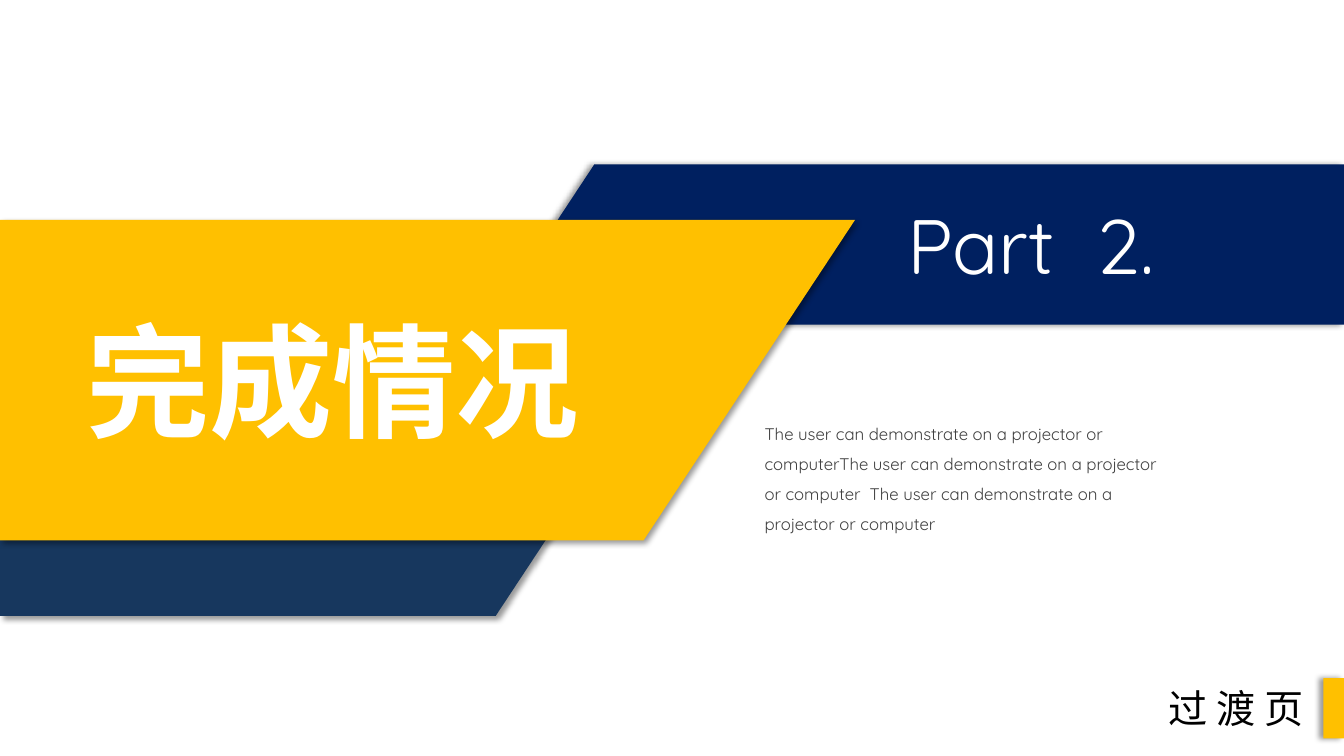
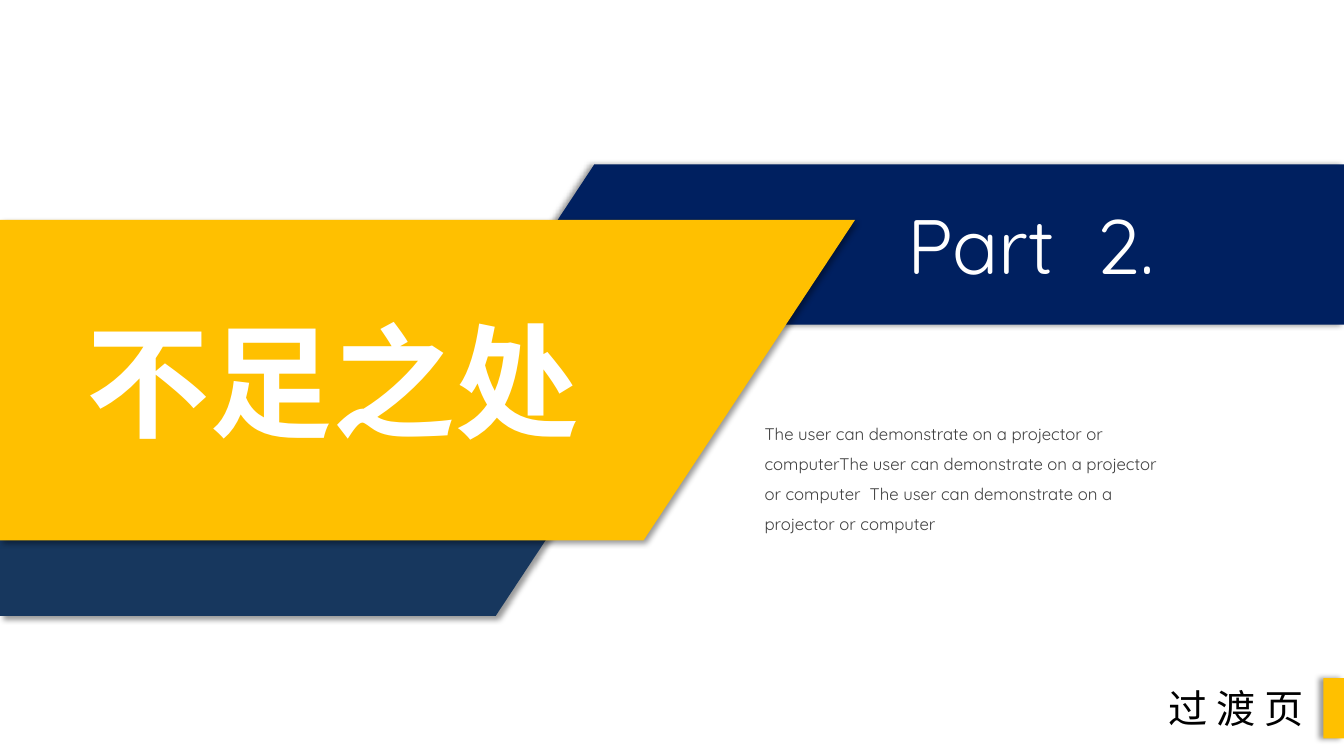
from typing import NamedTuple

from lxml import etree
from pptx import Presentation
from pptx import util as u
from pptx.dml.color import RGBColor
from pptx.enum import shapes, text
from pptx.oxml import ns

NAVY = RGBColor(0x00, 0x20, 0x60)
STEEL = RGBColor(0x17, 0x37, 0x5E)
AMBER = RGBColor(0xFF, 0xC0, 0x00)
WHITE = RGBColor(0xFF, 0xFF, 0xFF)
BLACK = RGBColor(0x00, 0x00, 0x00)
GREY = RGBColor(0x40, 0x40, 0x40)

SLIDE_WIDTH, SLIDE_HEIGHT = 33.87, 19.05
SLANT = 0.66  # horizontal run of every slanted edge per unit of height
TAB_WIDTH = 0.52

SECTIONS = ("完成情况", "不足之处")
SUMMARY = (
    "The user can demonstrate on a projector or computer"
    "The user can demonstrate on a projector or computer  "
    "The user can demonstrate on a projector or computer"
)


class Band(NamedTuple):
    """A bar from one slide side to a slanted edge that starts at edge_x."""
    side_x: float
    edge_x: float
    top: float
    height: float
    color: RGBColor
    shadow_angle: int


class Label(NamedTuple):
    left: float
    top: float
    width: float
    height: float
    color: RGBColor
    font: dict
    paragraph: dict = {}
    wrap: bool = True


BANDS = (
    Band(0, 14.17, 12.98, 2.54, STEEL, 45),
    Band(SLIDE_WIDTH, 14.98, 4.14, 4.04, NAVY, 180),
    Band(0, 21.55, 5.54, 8.08, AMBER, 45),
)
PART = Label(22.61, 4.85, 6.99, 2.62, WHITE,
             {"name": "Quicksand", "size": u.Pt(55)})
TITLE = Label(1.93, 7.57, 13.06, 4.01, WHITE,
              {"name": "Quicksand", "size": u.Pt(88), "bold": True}, wrap=False)
BODY = Label(19.02, 10.29, 10.57, 3.33, GREY,
             {"name": "Quicksand", "size": u.Pt(12)}, {"line_spacing": 1.5})
FOOTER = Label(28.96, 17.12, 4.39, 1.45, BLACK,
               {"name": "Arial", "size": u.Pt(28)},
               {"alignment": text.PP_ALIGN.CENTER})


def set_attributes(target, values: dict) -> None:
    for name, value in values.items():
        setattr(target, name, value)


def paint(shape, color: RGBColor, shadow_angle: int) -> None:
    """Give a shape a plain fill, no outline and a soft shadow."""
    shape.fill.solid()
    shape.fill.fore_color.rgb = color
    shape.line.fill.background()
    shape.shadow.inherit = False
    effects = shape._element.spPr.find(ns.qn("a:effectLst"))
    shadow = etree.SubElement(
        effects, ns.qn("a:outerShdw"), blurRad=str(u.Pt(4)), dist=str(u.Pt(3)),
        dir=str(shadow_angle * 60000), algn="ctr", rotWithShape="0")
    shade = etree.SubElement(shadow, ns.qn("a:srgbClr"), val=str(BLACK))
    etree.SubElement(shade, ns.qn("a:alpha"), val="40000")


def add_band(slide, band: Band) -> None:
    bottom = band.top + band.height
    corners = [
        (u.Cm(x), u.Cm(y)) for x, y in (
            (band.side_x, band.top),
            (band.edge_x, band.top),
            (band.edge_x - SLANT * band.height, bottom),
            (band.side_x, bottom),
        )
    ]
    outline = slide.shapes.build_freeform(*corners[0])
    outline.add_line_segments(corners[1:], close=True)
    paint(outline.convert_to_shape(), band.color, band.shadow_angle)


def add_label(slide, label: Label, wording: str) -> None:
    box = slide.shapes.add_textbox(*map(u.Cm, label[:4]))
    frame = box.text_frame
    frame.word_wrap = label.wrap
    frame.auto_size = text.MSO_AUTO_SIZE.SHAPE_TO_FIT_TEXT
    paragraph = frame.paragraphs[0]
    set_attributes(paragraph, label.paragraph)
    run = paragraph.add_run()
    run.text = wording
    set_attributes(run.font, label.font)
    run.font.color.rgb = label.color


def add_footer(slide) -> None:
    tab = slide.shapes.add_shape(
        shapes.MSO_SHAPE.RECTANGLE, u.Cm(SLIDE_WIDTH - TAB_WIDTH), u.Cm(17.09),
        u.Cm(TAB_WIDTH), u.Cm(1.52))
    paint(tab, AMBER, 180)
    add_label(slide, FOOTER, "过 渡 页")


def add_section_slide(deck, title: str) -> None:
    slide = deck.slides.add_slide(deck.slide_layouts[6])
    for band in BANDS:
        add_band(slide, band)
    add_label(slide, PART, "Part  2.")
    add_label(slide, TITLE, title)
    add_label(slide, BODY, SUMMARY)
    add_footer(slide)


def main() -> None:
    deck = Presentation()
    deck.slide_width = u.Cm(SLIDE_WIDTH)
    deck.slide_height = u.Cm(SLIDE_HEIGHT)
    for title in SECTIONS:
        add_section_slide(deck, title)
    deck.save("out.pptx")


if __name__ == "__main__":
    main()
